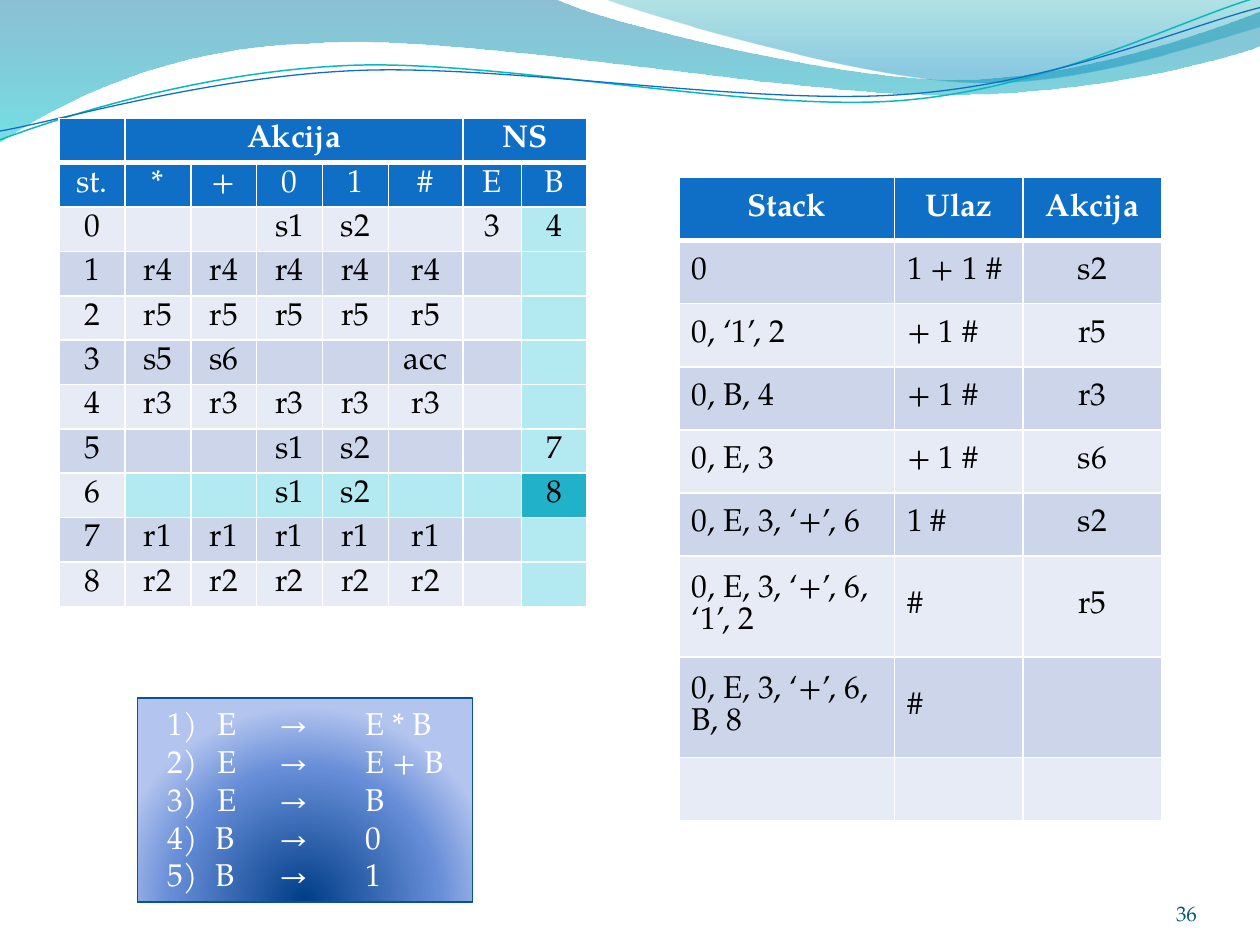
from dataclasses import dataclass
from typing import Any, Optional

import pptx
import pptx.dml.color
import pptx.enum.shapes
import pptx.enum.text
import pptx.oxml
import pptx.oxml.ns
import pptx.util

Inches = pptx.util.Inches
Pt = pptx.util.Pt
RGB = pptx.dml.color.RGBColor.from_string
ALIGN = pptx.enum.text.PP_ALIGN
ANCHOR = pptx.enum.text.MSO_ANCHOR
qn = pptx.oxml.ns.qn
NS = pptx.oxml.ns.nsdecls("a")


@dataclass(frozen=True)
class Theme:
    font: str = "TeX Gyre Pagella"
    body: int = 18
    small: int = 12
    white: str = "FFFFFF"
    black: str = "000000"
    header: str = "0F6FC6"
    bands: tuple = ("E7EBF5", "CCD5EA")
    mark: str = "B3EAF2"
    focus: str = "21B2C9"
    number: str = "045D75"
    rule_line: str = "095295"


THEME = Theme()


@dataclass(frozen=True)
class Wave:
    """A curve from start through cubic segments (six numbers) and straight ones (two)."""
    start: tuple
    segments: list
    stops: Optional[list] = None
    line: Optional[str] = None
    weight: float = 0


@dataclass(frozen=True)
class Grid:
    left: float
    top: float
    width: float
    cols: list
    rows: list
    cells: list
    header_rows: int
    first_band: int
    pad: float
    left_aligned: tuple = ()


WAVES = [
    Wave((0, 0), [(4.4, -0.01), (4.76, 0.17, 6.64, 0.63, 7.58, 0.63),
                  (8.53, 0.63, 9.58, 0.26, 10, 0.09), (10.01, 0.36),
                  (9.83, 0.44, 8.7, 0.76, 7.46, 0.75), (6.22, 0.75, 3.82, 0.28, 2.57, 0.34),
                  (1.29, 0.36, 0.46, 0.83, -0.01, 1.13)],
         stops=[(0, "0074A1", 45), (100, "00C6CF", 55)]),
    Wave((4.79, -0.01), [(5.09, 0.11, 6.82, 0.62, 7.69, 0.65),
                         (8.56, 0.69, 9.61, 0.32, 10, 0.21), (10, 0)],
         stops=[(0, "00A1A9", 30), (80, "008BBF", 45)]),
    Wave((0, 1.11), [(0.48, 0.93, 1.58, 0.57, 2.77, 0.52), (3.95, 0.47, 5.93, 0.89, 7.13, 0.8),
                     (8.33, 0.71, 9.38, 0.15, 9.98, -0.02)], line="0AB8BF", weight=0.85),
    Wave((0, 1.04), [(0.47, 0.96, 1.64, 0.61, 2.83, 0.56), (4.03, 0.51, 5.97, 0.84, 7.17, 0.75),
                     (8.36, 0.67, 9.41, 0.21, 10, 0.06)], line="0F6FC6", weight=0.75),
]


def reduce_row(state: int, rule: str) -> list:
    return [str(state)] + [rule] * 5 + ["", ""]


def shift_row(state: int, goto_e: str, goto_b: str) -> list:
    return [str(state), "", "", "s1", "s2", "", goto_e, goto_b]


PARSE_TABLE = Grid(
    0.47, 0.94, 4.19, [0.52] * 5 + [0.59, 0.46, 0.52], [0.35] * 11,
    [["", "Akcija", "", "", "", "", "NS", ""],
     ["st.", "*", "+", "0", "1", "#", "E", "B"],
     shift_row(0, "3", "4"), reduce_row(1, "r4"), reduce_row(2, "r5"),
     ["3", "s5", "s6", "", "", "acc", "", ""],
     reduce_row(4, "r3"), shift_row(5, "", "7"), shift_row(6, "", "8"),
     reduce_row(7, "r1"), reduce_row(8, "r2")],
    header_rows=2, first_band=0, pad=0.05)
MARKED_ROW, MARKED_COL = 8, 7

TRACE_TABLE = Grid(
    5.39, 1.41, 3.83, [1.71, 1.02, 1.1], [0.45] * 6 + [0.69, 0.69, 0.45],
    [["Stack", "Ulaz", "Akcija"], ["0", "1 + 1 #", "s2"], ["0, ‘1’, 2", "+ 1 #", "r5"],
     ["0, B, 4", "+ 1 #", "r3"], ["0, E, 3", "+ 1 #", "s6"], ["0, E, 3, ‘+’, 6", "1 #", "s2"],
     ["0, E, 3, ‘+’, 6, ‘1’, 2", "#", "r5"], ["0, E, 3, ‘+’, 6, B, 8", "#", ""], ["", "", ""]],
    header_rows=1, first_band=1, pad=0.1, left_aligned=(0, 1))

TYPED_RULES = "1) \tE\t→\tE * B\v2) \tE\t→\tE + B\v3) \tE\t→\tB"
NUMBERED_RULES = ["B\t→\t0", "B\t→\t1"]
RULE_TABS = [0.4, 0.89, 1.57]


def set_attrs(obj: Any, values: dict) -> None:
    for name, value in values.items():
        setattr(obj, name, value)


def style_runs(p: Any, color: str, size: int = THEME.body, bold: bool = False) -> None:
    for r in p.runs:
        set_attrs(r.font, {"name": THEME.font, "size": Pt(size), "bold": bold})
        r.font.color.rgb = RGB(color)


def set_gradient(sp: Any, stops: list, direction: str) -> None:
    """Fill sp with (position, colour, opacity) stops; direction is a:lin or a:path XML."""
    marks = "".join(f'<a:gs pos="{pos * 1000}"><a:srgbClr val="{color}">'
                    f'<a:alpha val="{alpha * 1000}"/></a:srgbClr></a:gs>'
                    for pos, color, alpha in stops)
    sp.fill.background()
    spPr = sp._element.spPr
    spPr.replace(spPr.find(qn("a:noFill")), pptx.oxml.parse_xml(
        f'<a:gradFill {NS} rotWithShape="1"><a:gsLst>{marks}</a:gsLst>{direction}</a:gradFill>'))


def bend_segments(sp: Any, segments: list) -> None:
    """Turn each three line steps that stand for a cubic segment into one curve."""
    steps = iter(list(sp._element.spPr.iter(qn("a:lnTo"))))
    for seg in segments:
        first = next(steps)
        if len(seg) == 2:
            continue
        curve = pptx.oxml.parse_xml(f"<a:cubicBezTo {NS}/>")
        first.addprevious(curve)
        for step in (first, next(steps), next(steps)):
            curve.append(step[0])
            step.getparent().remove(step)


def draw_wave(slide: Any, wave: Wave) -> None:
    points = [(Inches(seg[i]), Inches(seg[i + 1]))
              for seg in wave.segments for i in range(0, len(seg), 2)]
    builder = slide.shapes.build_freeform(*map(Inches, wave.start))
    builder.add_line_segments(points, close=wave.stops is not None)
    sp = builder.convert_to_shape()
    bend_segments(sp, wave.segments)
    sp.shadow.inherit = False
    if wave.stops:
        set_gradient(sp, wave.stops, '<a:lin ang="5400000" scaled="0"/>')
        sp.line.fill.background()
    else:
        sp.fill.background()
        sp.line.color.rgb = RGB(wave.line)
        sp.line.width = Pt(wave.weight)


def fill_cell(cell: Any, color: str) -> None:
    cell.fill.solid()
    cell.fill.fore_color.rgb = RGB(color)


def underline_cell(cell: Any) -> None:
    cell._tc.get_or_add_tcPr().insert(0, pptx.oxml.parse_xml(
        f'<a:lnB {NS} w="{Pt(3)}"><a:solidFill><a:srgbClr val="{THEME.white}"/>'
        '</a:solidFill></a:lnB>'))


def write_cell(cell: Any, text: str, align: Any, color: str, bold: bool) -> None:
    p = cell.text_frame.paragraphs[0]
    set_attrs(p, {"text": text, "alignment": align})
    style_runs(p, color, bold=bold)
    if not text:
        p._p.append(pptx.oxml.parse_xml(
            f'<a:endParaRPr {NS} sz="{THEME.body * 100}"><a:latin typeface="{THEME.font}"/>'
            '</a:endParaRPr>'))


def draw_grid(slide: Any, grid: Grid) -> Any:
    table = slide.shapes.add_table(
        len(grid.rows), len(grid.cols), Inches(grid.left), Inches(grid.top),
        Inches(grid.width), Inches(sum(grid.rows))).table
    for col, share in zip(table.columns, grid.cols):
        col.width = Inches(grid.width * share / sum(grid.cols))
    for i, (row, height) in enumerate(zip(table.rows, grid.rows)):
        row.height = Inches(height)
        is_header = i < grid.header_rows
        band = THEME.bands[(i - grid.header_rows + grid.first_band) % 2]
        for j, cell in enumerate(row.cells):
            set_attrs(cell, {"vertical_anchor": ANCHOR.MIDDLE, "margin_top": Inches(grid.pad),
                             "margin_bottom": Inches(grid.pad)})
            fill_cell(cell, THEME.header if is_header else band)
            is_left = j in grid.left_aligned and not is_header
            write_cell(cell, grid.cells[i][j], ALIGN.LEFT if is_left else ALIGN.CENTER,
                       THEME.white if is_header else THEME.black, bold=i == 0)
            if i == 0:
                underline_cell(cell)
    return table


def draw_parse_table(slide: Any) -> None:
    table = draw_grid(slide, PARSE_TABLE)
    table.cell(0, 1).merge(table.cell(0, 5))
    table.cell(0, 6).merge(table.cell(0, 7))
    for i in range(PARSE_TABLE.header_rows, len(PARSE_TABLE.rows)):
        fill_cell(table.cell(i, MARKED_COL), THEME.mark)
    for j in range(1, MARKED_COL):
        fill_cell(table.cell(MARKED_ROW, j), THEME.mark)
    fill_cell(table.cell(MARKED_ROW, MARKED_COL), THEME.focus)


def draw_grammar(slide: Any) -> None:
    sp = slide.shapes.add_shape(pptx.enum.shapes.MSO_SHAPE.RECTANGLE, Inches(1.09), Inches(5.54),
                                Inches(2.66), Inches(1.62))
    set_gradient(sp, [(0, "003D87", 100), (68, "668DD7", 100), (100, "B3C4EF", 100)],
                 '<a:path path="circle">'
                 '<a:fillToRect l="50000" t="130000" r="50000" b="-30000"/></a:path>')
    sp.line.color.rgb = RGB(THEME.rule_line)
    sp.line.width = Pt(0.75)
    sp.shadow.inherit = False
    tf = sp.text_frame
    set_attrs(tf, {"word_wrap": True, "margin_left": Inches(0.24),
                   "vertical_anchor": ANCHOR.TOP})
    tabs = "".join(f'<a:tab pos="{Inches(x)}" algn="l"/>' for x in RULE_TABS)
    for i, text in enumerate([TYPED_RULES] + NUMBERED_RULES):
        p = tf.add_paragraph() if i else tf.paragraphs[0]
        set_attrs(p, {"text": text, "alignment": ALIGN.LEFT})
        pPr = p._p.get_or_add_pPr()
        if i:
            pPr.set("marL", str(Inches(0.38)))
            pPr.set("indent", str(Inches(-0.38)))
            pPr.append(pptx.oxml.parse_xml(
                f'<a:buAutoNum {NS} type="arabicParenR" startAt="4"/>'))
        pPr.append(pptx.oxml.parse_xml(f"<a:tabLst {NS}>{tabs}</a:tabLst>"))
        style_runs(p, THEME.white)


def draw_slide_number(slide: Any) -> None:
    tf = slide.shapes.add_textbox(Inches(8.67), Inches(6.95), Inches(0.83),
                                  Inches(0.4)).text_frame
    set_attrs(tf, {"word_wrap": True, "vertical_anchor": ANCHOR.BOTTOM, "margin_left": 0,
                   "margin_top": 0, "margin_right": 0, "margin_bottom": 0})
    p = tf.paragraphs[0]
    set_attrs(p, {"text": "36", "alignment": ALIGN.RIGHT})
    style_runs(p, THEME.number, THEME.small)


def main() -> None:
    prs = pptx.Presentation()
    set_attrs(prs, {"slide_width": Inches(10), "slide_height": Inches(7.5)})
    slide = prs.slides.add_slide(prs.slide_layouts[6])
    for wave in WAVES:
        draw_wave(slide, wave)
    draw_parse_table(slide)
    draw_slide_number(slide)
    draw_grammar(slide)
    draw_grid(slide, TRACE_TABLE)
    prs.save("out.pptx")


if __name__ == "__main__":
    main()
